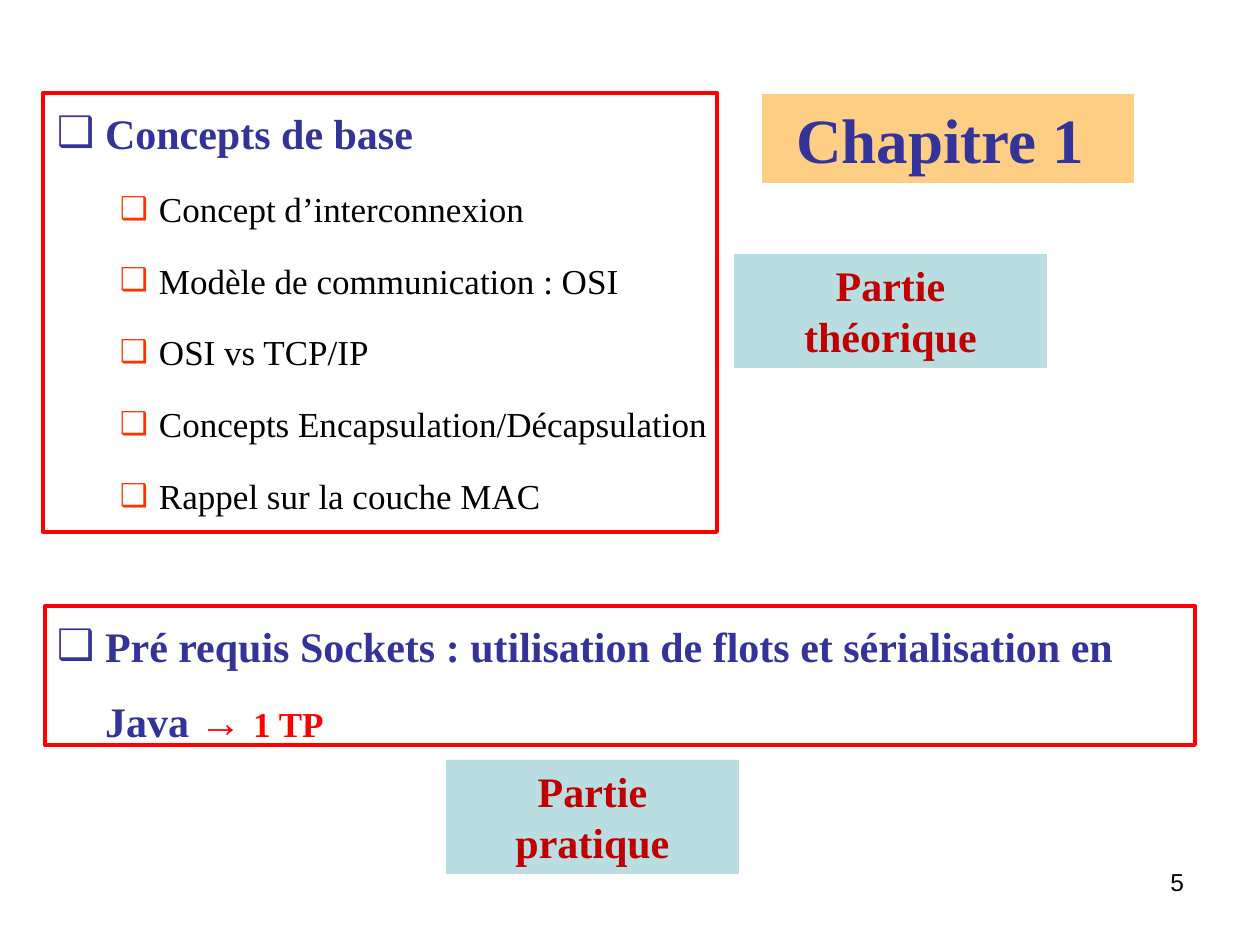
import lxml.etree
import pptx
import pptx.dml.color
import pptx.enum.shapes
import pptx.enum.text
import pptx.oxml.ns
import pptx.util

PX = 914400 // 126
SERIF = "Times New Roman"
BLUE, RED, ORANGE, BLACK = "333399", "FF0000", "FF3300", "000000"
ALIGN = pptx.enum.text.PP_ALIGN
TOPICS = [
    "Concept d’interconnexion",
    "Modèle de communication : OSI",
    "OSI vs TCP/IP",
    "Concepts Encapsulation/Décapsulation",
    "Rappel sur la couche MAC",
]


def color(value):
    """Turn a hex string into an RGB colour."""
    return pptx.dml.color.RGBColor.from_string(value)


def apply_format(target, values):
    """Set each attribute named in a dict of format values."""
    for name, value in values.items():
        setattr(target, name, value)


def place(shape, box):
    """Move and size a shape to a box in px."""
    names = ("left", "top", "width", "height")
    apply_format(shape, {name: side * PX for name, side in zip(names, box)})


def setup_frame(frame, wrap=True):
    """Anchor the text at the top with fixed insets."""
    apply_format(frame, {
        "word_wrap": wrap,
        "auto_size": pptx.enum.text.MSO_AUTO_SIZE.NONE,
        "vertical_anchor": pptx.enum.text.MSO_ANCHOR.TOP,
        "margin_left": 13 * PX, "margin_right": 13 * PX,
        "margin_top": 6 * PX, "margin_bottom": 6 * PX,
    })


def add_span(para, text, size, shade, bold=False, font=SERIF):
    """Append one formatted run to a paragraph."""
    span = para.add_run()
    span.text = text
    apply_format(span.font, {"size": pptx.util.Pt(size), "bold": bold, "name": font})
    span.font.color.rgb = color(shade)


def add_bullet(para, shade, percent, margin, indent):
    """Give a paragraph a square bullet and a hanging indent in px."""
    props = para._p.get_or_add_pPr()
    props.set("marL", str(margin * PX))
    props.set("indent", str(-indent * PX))
    qn = pptx.oxml.ns.qn
    holder = lxml.etree.SubElement(props, qn("a:buClr"))
    lxml.etree.SubElement(holder, qn("a:srgbClr"), val=shade)
    lxml.etree.SubElement(props, qn("a:buSzPct"), val=str(percent * 1000))
    lxml.etree.SubElement(props, qn("a:buChar"), char="❑")


def fill_line(para, text, size, shade, before, align=ALIGN.CENTER, bold=True, font=SERIF):
    """Write a single-format line in a paragraph."""
    apply_format(para, {"alignment": align, "space_before": pptx.util.Pt(before)})
    add_span(para, text, size, shade, bold, font)


def add_chapter(page, box):
    """Fill the title placeholder with the chapter name."""
    title = page.shapes.title
    place(title, box)
    title.fill.solid()
    title.fill.fore_color.rgb = color("FFCE85")
    setup_frame(title.text_frame, wrap=False)
    fill_line(title.text_frame.paragraphs[0], "Chapitre 1 ", 36, BLUE, 9)


def add_outline(page, box):
    """Fill the body placeholder with the two-level outline."""
    body = page.placeholders[1]
    place(body, box)
    frame = body.text_frame
    setup_frame(frame)
    heads = {"level": 0, "line_spacing": 1.5}
    items = {"level": 1, "line_spacing": 1.5, "space_before": pptx.util.Pt(5)}

    para = frame.paragraphs[0]
    apply_format(para, {**heads, "space_before": pptx.util.Pt(6)})
    add_bullet(para, BLUE, 100, 48, 48)
    add_span(para, "Concepts de base", 24, BLUE, True)

    for topic in TOPICS:
        para = frame.add_paragraph()
        apply_format(para, items)
        add_bullet(para, ORANGE, 90, 102, 39)
        add_span(para, topic, 20, BLACK)

    para = frame.add_paragraph()
    apply_format(para, {**heads, "space_before": pptx.util.Pt(45)})
    add_bullet(para, BLUE, 100, 48, 48)
    add_span(para, "Pré requis Sockets : utilisation de flots et sérialisation en Java ",
             24, BLUE, True)
    add_span(para, "→ ", 24, RED, True, "Arial")
    add_span(para, "1 TP", 20, RED, True)


def add_rectangle(page, box):
    """Add a rectangle without shadow, fill or line."""
    shape = page.shapes.add_shape(pptx.enum.shapes.MSO_SHAPE.RECTANGLE, 0, 0, 0, 0)
    place(shape, box)
    shape.shadow.inherit = False
    shape.fill.background()
    shape.line.fill.background()
    return shape


def add_border(page, box):
    """Add a red outline around a part of the list."""
    shape = add_rectangle(page, box)
    shape.line.color.rgb = color(RED)
    shape.line.width = pptx.util.Pt(2.25)


def add_part_label(page, box, text):
    """Add a pale blue label naming a part of the course."""
    shape = add_rectangle(page, box)
    shape.fill.solid()
    shape.fill.fore_color.rgb = color("BADDE1")
    setup_frame(shape.text_frame)
    fill_line(shape.text_frame.paragraphs[0], text, 24, "C00000", 6)


def add_page_number(page, box, text):
    """Add the page number at the right of its box."""
    shape = page.shapes.add_textbox(0, 0, 0, 0)
    place(shape, box)
    setup_frame(shape.text_frame)
    fill_line(shape.text_frame.paragraphs[0], text, 14, BLACK, 0, ALIGN.RIGHT, False, "Arial")


def main():
    """Build the slide and save the deck."""
    deck = pptx.Presentation()
    apply_format(deck, {"slide_width": pptx.util.Inches(10),
                        "slide_height": pptx.util.Inches(7.5)})
    page = deck.slides.add_slide(deck.slide_layouts[1])
    add_chapter(page, (762, 94, 372, 89))
    add_outline(page, (44, 76, 1171, 714))
    add_border(page, (43, 93, 674, 439))
    add_border(page, (45, 606, 1150, 139))
    add_part_label(page, (734, 254, 313, 114), "Partie théorique")
    add_part_label(page, (446, 760, 293, 114), "Partie pratique")
    add_page_number(page, (903, 861, 294, 66), "5")
    deck.save("out.pptx")


if __name__ == "__main__":
    main()
